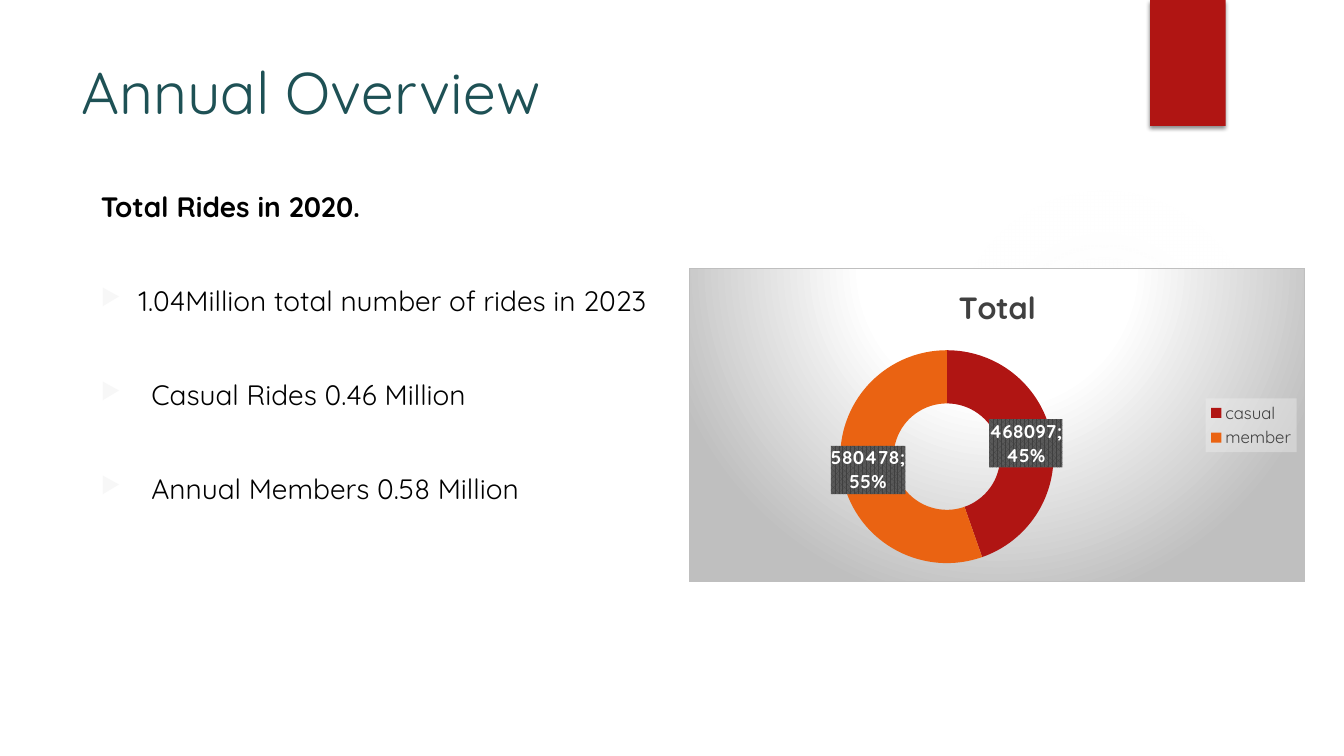
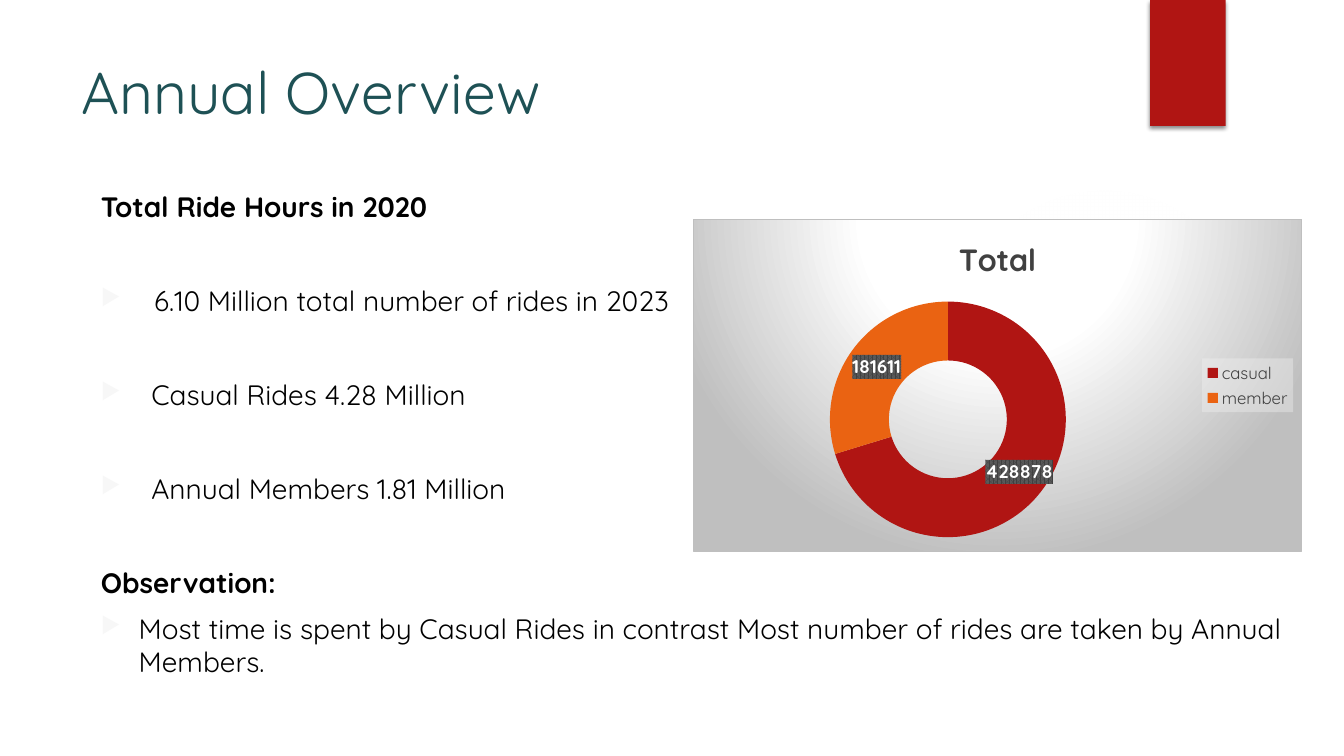
from lxml import etree
from pptx import Presentation
from pptx.chart import data as cd
from pptx.dml import color as dml
from pptx.enum import chart as ch, shapes, text
from pptx.oxml import ns
from pptx.util import Pt

FONT = "Quicksand"
COLORS = {"accent": "B01513", "second": "EA6312", "title": "1E5155",
          "body": "000000", "white": "FFFFFF", "grey": "404040",
          "bullet": "F7F7F7", "glow": "F3F3F3", "edge": "BFBFBF",
          "panel": "F2F2F2", "stripe": "595959"}
FORMATS = {
    "title": {"size": Pt(42), "bold": False, "color": "title"},
    "heading": {"size": Pt(20), "bold": True, "color": "body"},
    "point": {"size": Pt(20), "bold": False, "color": "body"},
    "chart": {"size": Pt(10), "bold": False, "color": "body"},
    "chart_title": {"size": Pt(22), "bold": True, "color": "grey"},
    "legend": {"size": Pt(12), "bold": False, "color": "grey"},
    "label": {"size": Pt(13.3), "bold": True, "color": "white"},
}
GAP, ROW = 9, 34       # space above a paragraph, pitch of a text row


def rgb(key):
    return dml.RGBColor.from_string(COLORS[key])


def xml(markup):
    """Parse a fragment that uses the a: and c: prefixes."""
    return etree.fromstring(f"<x {ns.nsdecls('a', 'c')}>{markup}</x>")[0]


def color_xml(key, alpha=100):
    return (f'<a:srgbClr val="{COLORS[key]}">'
            f'<a:alpha val="{alpha * 1000}"/></a:srgbClr>')


def radial_xml(stops, top, bottom):
    marks = "".join(f'<a:gs pos="{pos * 1000}">{color_xml(key, alpha)}</a:gs>'
                    for pos, key, alpha in stops)
    return (f'<a:gradFill rotWithShape="1"><a:gsLst>{marks}</a:gsLst>'
            f'<a:path path="circle"><a:fillToRect l="50000" t="{top * 1000}" '
            f'r="50000" b="{bottom * 1000}"/></a:path></a:gradFill>')


def set_background(parent, fill):
    """Fill a chart part; its spPr belongs just before its txPr."""
    parent.find(ns.qn("c:txPr")).addprevious(xml(f"<c:spPr>{fill}</c:spPr>"))


class Deck:
    def __init__(self):
        self.prs = Presentation()
        self.prs.slide_width, self.prs.slide_height = Pt(960), Pt(540)
        self.slide = None

    def style(self, font, kind):
        font.name = FONT
        for name, value in FORMATS[kind].items():
            if name == "color":
                font.color.rgb = rgb(value)
            else:
                setattr(font, name, value)

    def shape(self, kind, box):
        shape = self.slide.shapes.add_shape(kind, *map(Pt, box))
        shape.shadow.inherit = False
        shape.line.fill.background()
        return shape

    def new_slide(self, title):
        self.slide = self.prs.slides.add_slide(self.prs.slide_layouts[6])
        # Soft glow
        glow = self.shape(shapes.MSO_SHAPE.OVAL, (677.5, 132, 222, 222))
        glow.element.spPr.find(ns.qn("a:prstGeom")).addnext(xml(radial_xml(
            [(0, "glow", 7), (36, "glow", 6), (69, "glow", 0)], 50, 50)))
        # Corner ribbon with its shadow
        ribbon = self.shape(shapes.MSO_SHAPE.RECTANGLE, (821.5, 0, 54, 90))
        ribbon.fill.solid()
        ribbon.fill.fore_color.rgb = rgb("accent")
        ribbon.element.spPr.find(ns.qn("a:effectLst")).append(xml(
            '<a:outerShdw blurRad="38100" dist="25400" dir="5400000" '
            f'rotWithShape="0">{color_xml("body", 45)}</a:outerShdw>'))
        # Title
        self.text((51, 36, 741, 110), [("title", title, 0, 0)])

    def text(self, box, paragraphs):
        """Each paragraph is (format, words, hanging indent, space before)."""
        frame = self.slide.shapes.add_textbox(*map(Pt, box)).text_frame
        frame.word_wrap = True
        frame.vertical_anchor = text.MSO_ANCHOR.TOP
        for i, (kind, words, indent, before) in enumerate(paragraphs):
            para = frame.add_paragraph() if i else frame.paragraphs[0]
            para.space_before = Pt(before)
            run = para.add_run()
            run.text = words
            self.style(run.font, kind)
            if indent:
                self.bullet(para, indent)

    def bullet(self, para, indent):
        props = para._p.get_or_add_pPr()
        props.set("marL", str(Pt(indent)))
        props.set("indent", str(-Pt(indent)))
        for markup in (f'<a:buClr>{color_xml("bullet")}</a:buClr>',
                       '<a:buSzPct val="80000"/>', '<a:buChar char="▶"/>'):
            props.append(xml(markup))

    def doughnut(self, box, values, number_format, percent):
        data = cd.CategoryChartData(number_format=number_format)
        data.categories = ["casual", "member"]
        data.add_series("Total", values)
        chart = self.slide.shapes.add_chart(
            ch.XL_CHART_TYPE.DOUGHNUT, *map(Pt, box), data).chart
        self.style(chart.font, "chart")
        # Panel behind the ring
        backdrop = radial_xml([(0, "white", 100), (39, "white", 100),
                               (100, "edge", 100)], -80, 180)
        set_background(chart.element, backdrop + '<a:ln w="9525"><a:solidFill>'
                       f'{color_xml("edge")}</a:solidFill></a:ln>')
        # Chart title
        chart.has_title = True
        heading = chart.chart_title.text_frame.paragraphs[0].add_run()
        heading.text = "Total"
        self.style(heading.font, "chart_title")
        chart.chart_title.include_in_layout = False
        # Legend
        chart.has_legend = True
        chart.legend.position = ch.XL_LEGEND_POSITION.RIGHT
        chart.legend.include_in_layout = False
        self.style(chart.legend.font, "legend")
        set_background(chart.legend._element,
                       f'<a:solidFill>{color_xml("panel", 39)}</a:solidFill>')
        # Ring segments
        chart.plots[0].vary_by_categories = True
        rides = chart.plots[0].series[0]
        for i, key in enumerate(("accent", "second")):
            segment = rides.points[i].format
            segment.fill.solid()
            segment.fill.fore_color.rgb = rgb(key)
            segment.line.fill.background()
        # Value labels
        labels = rides.data_labels
        options = {"show_value": True, "show_percentage": percent,
                   "number_format": number_format,
                   "number_format_is_linked": percent}
        for name, value in options.items():
            setattr(labels, name, value)
        self.style(labels.font, "label")
        set_background(labels._element, '<a:pattFill prst="pct75"><a:fgClr>'
                       f'{color_xml("grey")}</a:fgClr><a:bgClr>'
                       f'{color_xml("stripe")}</a:bgClr></a:pattFill>')


def main():
    deck = Deck()
    skip = GAP + ROW   # leaves one row free above a paragraph

    # Number of rides
    deck.new_slide("Annual Overview")
    deck.text((65, 132, 708, 344), [
        ("heading", "Total Rides in 2020.", 0, 0),
        ("point", "1.04Million total number of rides in 2023", 27, skip),
        ("point", "Casual Rides 0.46 Million", 36, skip),
        ("point", "Annual Members 0.58 Million", 36, skip)])
    deck.doughnut((492, 191.5, 440.5, 224.5), (468097, 580478), "General", True)

    # Ride hours: values are days, shown as hours
    deck.new_slide("Annual Overview")
    deck.text((65, 132, 888, 372), [
        ("heading", "Total Ride Hours in 2020", 0, 0),
        ("point", "6.10 Million total number of rides in 2023", 38, skip),
        ("point", "Casual Rides 4.28 Million", 36, skip),
        ("point", "Annual Members 1.81 Million", 36, skip),
        ("heading", "Observation:", 0, skip),
        ("point", "Most time is spent by Casual Rides in contrast Most number "
                  "of rides are taken by Annual Members.", 27, GAP)])
    deck.doughnut((495, 156.5, 435, 237.5), (17869.95, 7567.13), "[h]", False)

    deck.prs.save("out.pptx")


if __name__ == "__main__":
    main()
